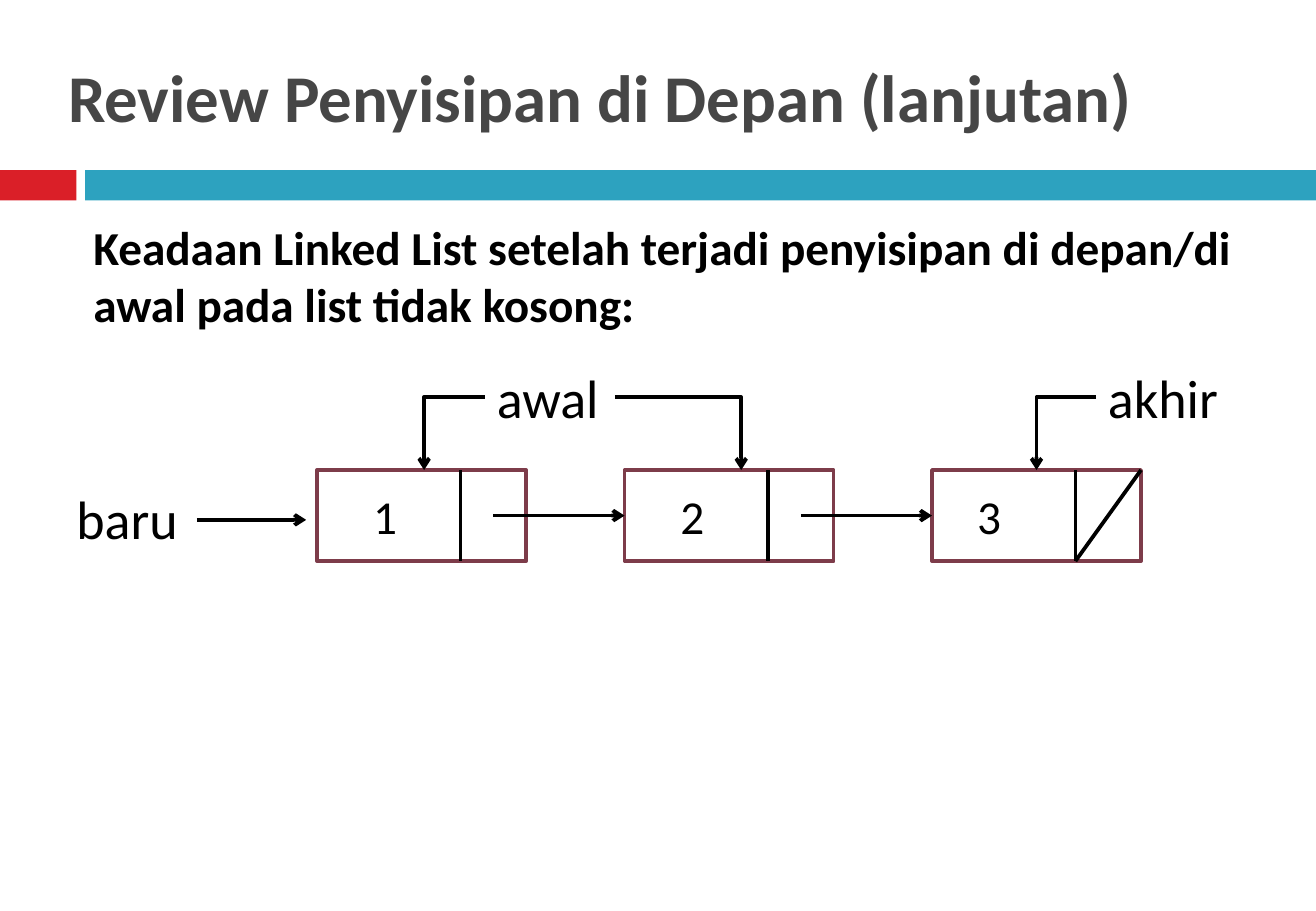
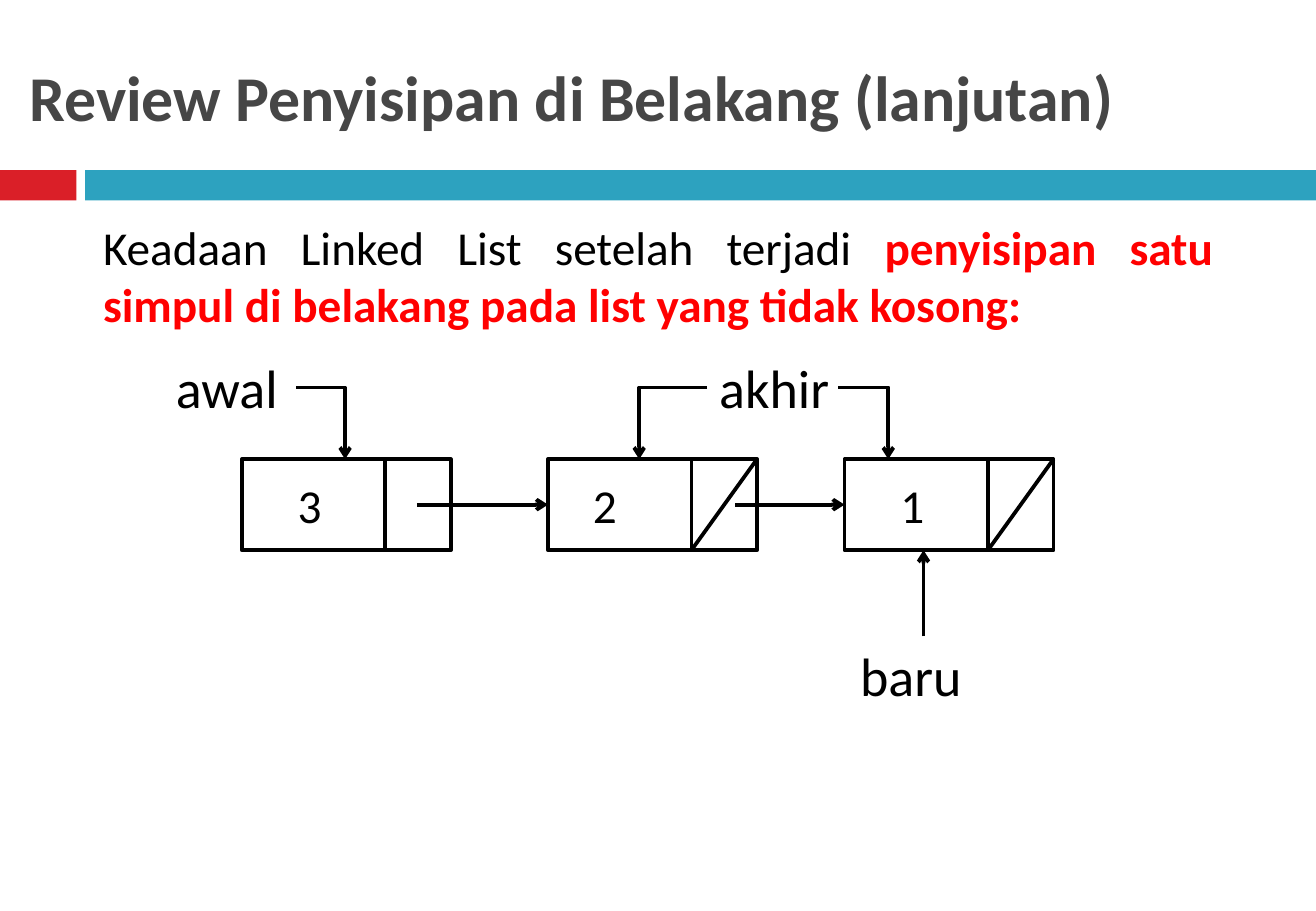
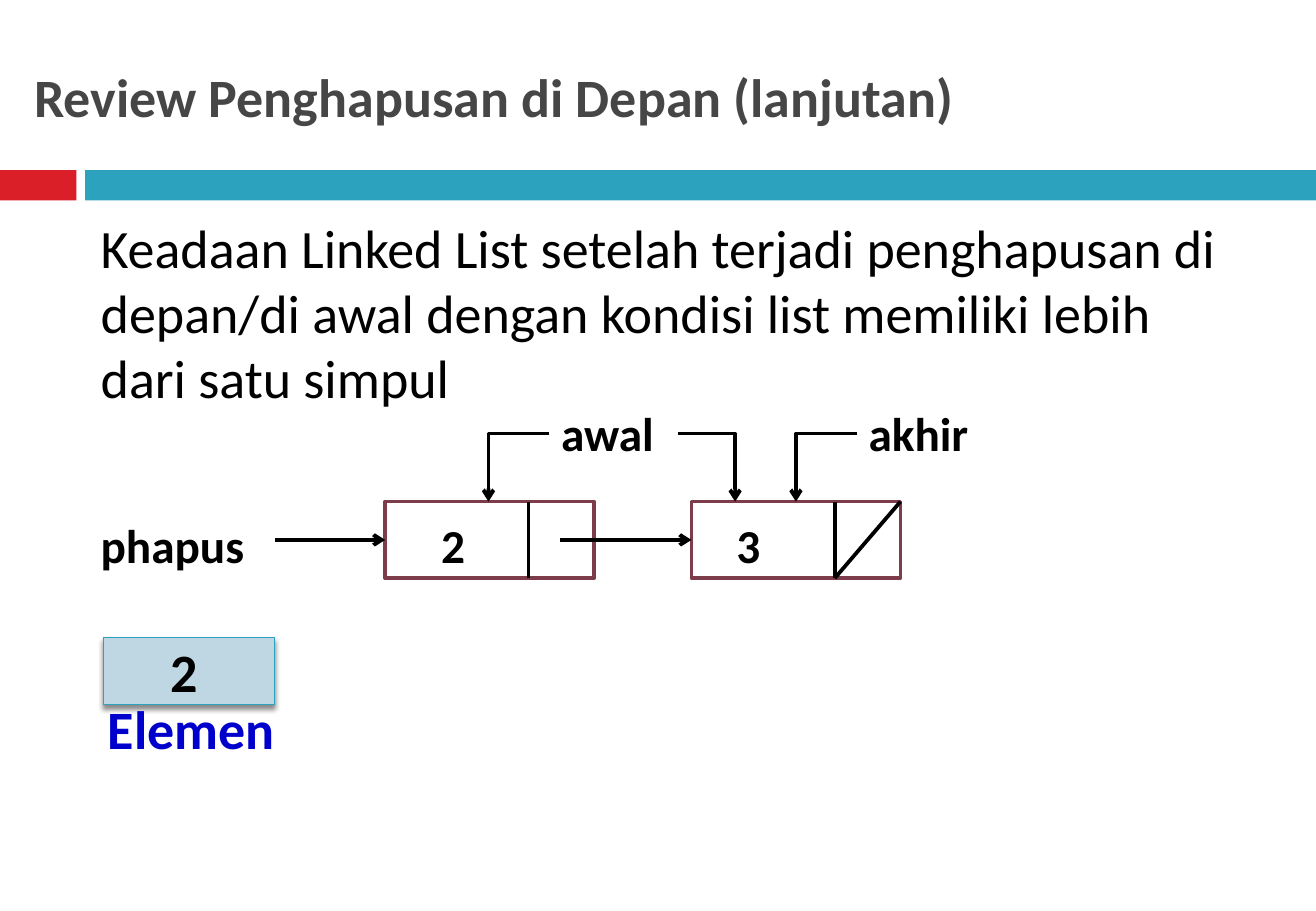
from lxml.etree import SubElement
from pptx import Presentation
from pptx.dml.color import RGBColor
from pptx.enum.shapes import MSO_CONNECTOR as Connector, MSO_SHAPE as Shape
from pptx.enum.text import MSO_ANCHOR as Anchor, MSO_AUTO_SIZE as AutoSize, PP_ALIGN as Align
from pptx.oxml.ns import qn
from pptx.util import Inches, Pt

COLORS = {
    "red_band": "DA1F28", "blue_band": "2DA2BF", "title": "464646",
    "black": "000000", "white": "FFFFFF", "maroon": "7D3C4A",
    "highlight": "FF0000", "element_fill": "BED7E2", "element_label": "0000CC",
}
FONT = "Calibri"
NODE_WIDTH, DATA_WIDTH = 1.72, 1.18
DIGIT_INDENT, SHORT_INDENT = 0.46, 0.37
LINE_WIDTH = 2.25


def color(name):
    return RGBColor.from_string(COLORS[name])


def set_values(target, values):
    for name, value in values.items():
        setattr(target, name, value)


def write(text_frame, runs, size, align=Align.LEFT, anchor=Anchor.TOP):
    """Write one paragraph from (text, colour, bold) runs."""
    set_values(text_frame, {"word_wrap": True, "auto_size": AutoSize.NONE,
                            "vertical_anchor": anchor})
    paragraph = text_frame.paragraphs[0]
    paragraph.alignment = align
    for text, color_name, bold in runs:
        run = paragraph.add_run()
        run.text = text
        set_values(run.font, {"name": FONT, "size": Pt(size), "bold": bold})
        run.font.color.rgb = color(color_name)


def add_text(slide, left, top, width, height, runs, size, align=Align.LEFT):
    box = slide.shapes.add_textbox(*map(Inches, (left, top, width, height)))
    write(box.text_frame, runs, size, align)


def add_label(slide, left, top, text, size=32, bold=False, color_name="black", width=1.26):
    add_text(slide, left, top, width, 0.6, [(text, color_name, bold)], size)


def add_rectangle(slide, left, top, width, height, fill, line=None, line_width=LINE_WIDTH):
    shape = slide.shapes.add_shape(Shape.RECTANGLE, *map(Inches, (left, top, width, height)))
    shape.shadow.inherit = False
    shape.fill.solid()
    shape.fill.fore_color.rgb = color(fill)
    if line:
        shape.line.color.rgb = color(line)
        shape.line.width = Pt(line_width)
    else:
        shape.line.fill.background()
    return shape


def write_in_shape(shape, digit, indent, size, bold, top=0):
    set_values(shape.text_frame, {"margin_left": Inches(indent), "margin_right": 0,
                                  "margin_top": Inches(top), "margin_bottom": 0})
    write(shape.text_frame, [(digit, "black", bold)], size, anchor=Anchor.MIDDLE)


def add_line(slide, start, end, arrow=False, kind=Connector.STRAIGHT):
    connector = slide.shapes.add_connector(kind, *map(Inches, (*start, *end)))
    connector.line.color.rgb = color("black")
    connector.line.width = Pt(LINE_WIDTH)
    properties = connector.element.spPr
    if arrow:
        SubElement(properties.find(qn("a:ln")), qn("a:tailEnd"), type="arrow")
    SubElement(properties, qn("a:effectLst"))
    return connector


def add_bent_arrow(slide, start, end):
    """Run sideways from the start, then down to the end."""
    connector = add_line(slide, start, end, True, Connector.ELBOW)
    properties = connector.element.spPr
    properties.find(qn("a:prstGeom")).set("prst", "bentConnector2")
    if end[0] < start[0]:
        # A half turn with a vertical flip mirrors the bend to the left
        transform = properties.find(qn("a:xfrm"))
        del transform.attrib["flipH"]
        transform.set("rot", "10800000")
        transform.set("flipV", "1")


def add_node(slide, left, top, digit, height=0.75, border="black",
             indent=DIGIT_INDENT, last=False, bold=False, text_top=0):
    node = add_rectangle(slide, left, top, NODE_WIDTH, height, "white", border)
    write_in_shape(node, digit, indent, 28, bold, text_top)
    divider, bottom = left + DATA_WIDTH, top + height
    add_line(slide, (divider, top), (divider, bottom))
    if last:
        add_line(slide, (left + NODE_WIDTH, top), (divider, bottom))
    return node


def add_link(slide, start, node):
    """Point from a horizontal position to the left side of a node."""
    middle = (node.top + node.height / 2) / Inches(1)
    arrow = add_line(slide, (start, middle), (node.left / Inches(1), middle), True)
    arrow.end_connect(node, 1)


def add_bands(slide, layout):
    """Draw the two title bands and hand them to the shared layout."""
    for left, width, fill in ((0, 0.63, "red_band"), (0.7, 10.13, "blue_band")):
        band = add_rectangle(slide, left, 1.4, width, 0.25, fill)
        layout.shapes.element.insert(2, band.element)


def add_slide(presentation, title, left, size):
    slide = presentation.slides.add_slide(presentation.slide_layouts[5])
    set_values(slide.shapes.title, {"left": Inches(left), "top": Inches(0.25),
                                    "width": Inches(9.66), "height": Inches(1.08)})
    write(slide.shapes.title.text_frame, [(title, "title", True)], size, anchor=Anchor.MIDDLE)
    return slide


def build_insert_front(presentation):
    slide = add_slide(presentation, "Review Penyisipan di Depan (lanjutan)", 0.46, 39.6)
    add_bands(slide, slide.slide_layout)
    add_text(slide, 0.67, 1.75, 9.58, 1.1, [(
        "Keadaan Linked List setelah terjadi penyisipan di depan/di awal pada list "
        "tidak kosong:", "black", True)], 28)

    # Nodes and links
    top = 3.87
    add_node(slide, 2.61, top, "1", border="maroon")
    second = add_node(slide, 5.14, top, "2", border="maroon")
    third = add_node(slide, 7.67, top, "3", border="maroon", indent=SHORT_INDENT, last=True)
    add_link(slide, 4.06, second)
    add_link(slide, 6.59, third)

    # Pointers
    for left, label_top, text in ((0.53, 3.95, "baru"), (3.99, 2.95, "awal"),
                                  (9.02, 2.95, "akhir")):
        add_label(slide, left, label_top, text)
    add_line(slide, (1.62, 4.28), (2.52, 4.28), True)
    for start, end in ((3.99, 3.49), (5.06, 6.1), (9.02, 8.53)):
        add_bent_arrow(slide, (start, 3.27), (end, top))


def build_insert_back(presentation):
    slide = add_slide(presentation, "Review Penyisipan di Belakang (lanjutan)", 0.14, 37.8)
    add_text(slide, 0.75, 1.75, 9.33, 1.1, [
        ("Keadaan Linked List setelah terjadi ", "black", False),
        ("penyisipan satu simpul di belakang pada list yang tidak kosong:", "highlight", True),
    ], 28, Align.JUSTIFY)

    # Nodes and links
    top = 3.78
    add_node(slide, 1.99, top, "3")
    second = add_node(slide, 4.51, top, "2", indent=SHORT_INDENT, last=True)
    third = add_node(slide, 6.95, top, "1", last=True)
    add_link(slide, 3.43, second)
    add_link(slide, 6.05, third)

    # Pointers
    for left, label_top, text in ((1.35, 2.87, "awal"), (5.82, 2.87, "akhir"),
                                  (6.98, 5.24, "baru")):
        add_label(slide, left, label_top, text)
    add_line(slide, (7.6, 5.24), (7.6, 4.53), True)
    for start, end in ((2.44, 2.84), (5.82, 5.26), (6.9, 7.31)):
        add_bent_arrow(slide, (start, 3.19), (end, top))


def add_element_box(slide):
    box = add_rectangle(slide, 0.85, 5.25, 1.41, 0.55, "element_fill", "blue_band", 0.79)
    write_in_shape(box, "2", 0.55, 32, True)
    effects = box.element.spPr.find(qn("a:effectLst"))
    shadow = SubElement(effects, qn("a:outerShdw"), blurRad=str(Pt(3)), dist=str(Pt(2.4)),
                        dir="5400000", rotWithShape="0")
    shade = SubElement(shadow, qn("a:srgbClr"), val=COLORS["black"])
    SubElement(shade, qn("a:alpha"), val="45000")
    add_label(slide, 0.79, 5.68, "Elemen", 32, True, "element_label", 1.65)


def build_delete_front(presentation):
    slide = add_slide(presentation, "Review Penghapusan di Depan (lanjutan)", 0.18, 32)
    add_text(slide, 0.73, 1.72, 9.65, 1.72, [(
        "Keadaan Linked List setelah terjadi penghapusan di depan/di awal dengan "
        "kondisi list memiliki lebih dari satu simpul", "black", False)], 32)

    # Nodes and links
    top = 4.13
    style = {"height": 0.63, "border": "maroon", "bold": True, "text_top": 0.08}
    first = add_node(slide, 3.17, top, "2", **style)
    second = add_node(slide, 5.69, top, "3", indent=SHORT_INDENT, last=True, **style)
    add_link(slide, 2.26, first)
    add_link(slide, 4.61, second)

    # Pointers
    for left, label_top, text in ((0.73, 4.2, "phapus"), (4.52, 3.28, "awal"),
                                  (7.05, 3.28, "akhir")):
        add_label(slide, left, label_top, text, 28, True, width=1.62)
    for start, end in ((4.52, 4.02), (5.58, 6.05), (7.05, 6.55)):
        add_bent_arrow(slide, (start, 3.57), (end, top))

    # Deleted value
    add_element_box(slide)


def main():
    presentation = Presentation()
    set_values(presentation, {"slide_width": Inches(10.83), "slide_height": Inches(7.5)})
    build_insert_front(presentation)
    build_insert_back(presentation)
    build_delete_front(presentation)
    presentation.save("out.pptx")


if __name__ == "__main__":
    main()
